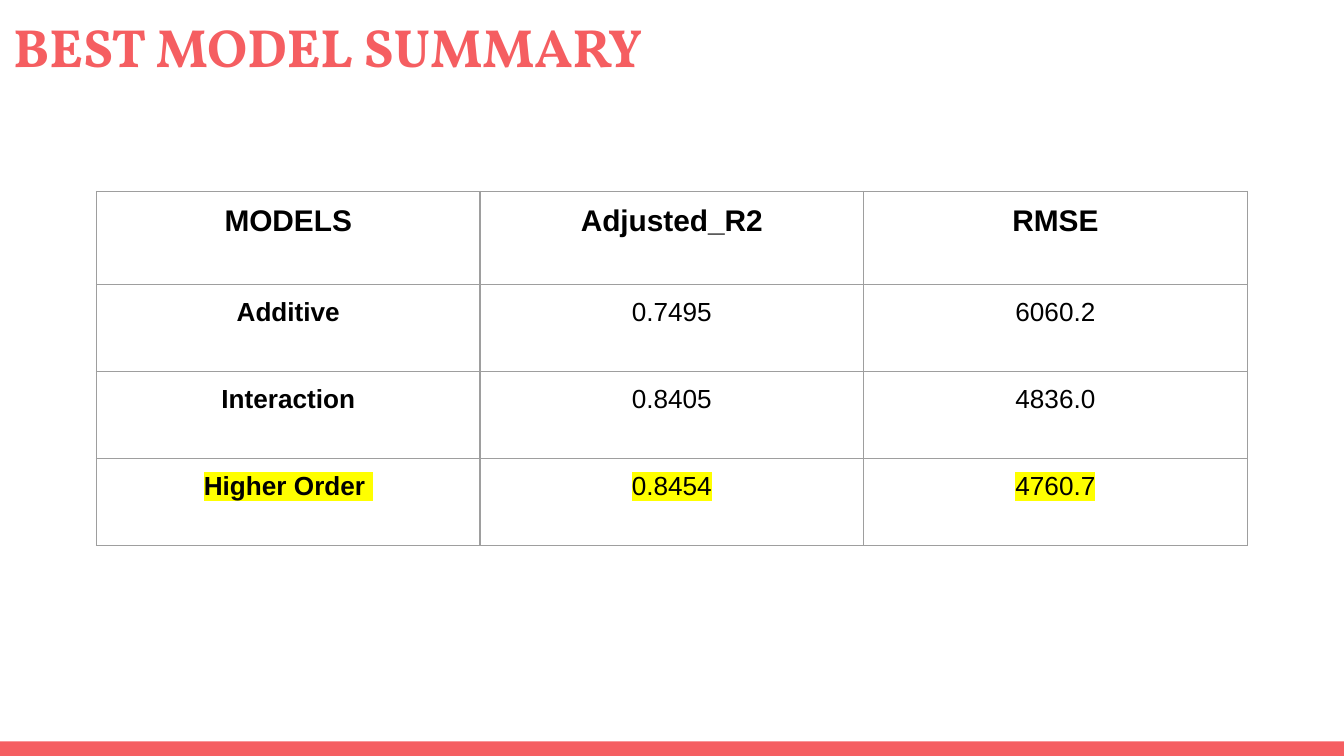
from dataclasses import dataclass

from lxml.etree import SubElement
from pptx import Presentation
from pptx.dml.color import RGBColor
from pptx.enum.shapes import MSO_SHAPE
from pptx.enum.text import MSO_ANCHOR, MSO_AUTO_SIZE, PP_ALIGN
from pptx.oxml.ns import qn
from pptx.table import _Cell
from pptx.util import Pt

CORAL = RGBColor(0xF5, 0x5E, 0x61)
BLACK = RGBColor(0, 0, 0)
GRAY = RGBColor(0x9E, 0x9E, 0x9E)
YELLOW = RGBColor(0xFF, 0xFF, 0)

SLIDE_WIDTH, SLIDE_HEIGHT = 720, 405
FOOTER_HEIGHT = 7.8
TABLE_LEFT, TABLE_TOP = 51.7, 102.6
COLUMN_WIDTH = 205.5
INSET = 7.2


@dataclass
class ModelRow:
    texts: tuple[str, str, str]
    height: float = 46.6
    size: float = 14
    header: bool = False
    highlighted: bool = False


ROWS = [
    ModelRow(("MODELS", "Adjusted_R2", "RMSE"), height=49.8, size=16, header=True),
    ModelRow(("Additive", "0.7495", "6060.2")),
    ModelRow(("Interaction", "0.8405", "4836.0")),
    ModelRow(("Higher Order ", "0.8454", "4760.7"), highlighted=True),
]


def add_solid_fill(parent, tag: str, color: RGBColor) -> None:
    SubElement(SubElement(parent, qn(tag)), qn("a:srgbClr"), val=str(color))


def set_borders(cell: _Cell) -> None:
    properties = cell._tc.get_or_add_tcPr()
    for side in ("a:lnL", "a:lnR", "a:lnT", "a:lnB"):
        border = SubElement(properties, qn(side), w=str(Pt(0.75)))
        add_solid_fill(border, "a:solidFill", GRAY)


def fill_cell(cell: _Cell, text: str, row: ModelRow, bold: bool) -> None:
    set_borders(cell)
    cell.fill.background()
    cell.margin_left = cell.margin_right = Pt(INSET)
    cell.margin_top = cell.margin_bottom = Pt(INSET)
    paragraph = cell.text_frame.paragraphs[0]
    paragraph.alignment = PP_ALIGN.CENTER
    run = paragraph.add_run()
    run.text = text
    if row.highlighted:
        add_solid_fill(run._r.get_or_add_rPr(), "a:highlight", YELLOW)
    font = paragraph.font
    font.name, font.size, font.bold = "Arial", Pt(row.size), bold
    font.color.rgb = BLACK


presentation = Presentation()
presentation.slide_width, presentation.slide_height = Pt(SLIDE_WIDTH), Pt(SLIDE_HEIGHT)
slide = presentation.slides.add_slide(presentation.slide_layouts[5])

# Footer band
footer = slide.shapes.add_shape(
    MSO_SHAPE.RECTANGLE, 0, Pt(SLIDE_HEIGHT - FOOTER_HEIGHT), Pt(SLIDE_WIDTH), Pt(FOOTER_HEIGHT)
)
footer.shadow.inherit = False
footer.fill.solid()
footer.fill.fore_color.rgb = CORAL
footer.line.fill.background()

# Title
title = slide.shapes.title
title.left, title.top, title.width, title.height = 0, 0, Pt(671), Pt(49)
title_frame = title.text_frame
title_frame.text = "BEST MODEL SUMMARY"
title_frame.word_wrap = True
title_frame.auto_size = MSO_AUTO_SIZE.NONE
title_frame.vertical_anchor = MSO_ANCHOR.TOP
title_frame.margin_left = title_frame.margin_right = Pt(INSET)
title_frame.margin_top = title_frame.margin_bottom = Pt(INSET)
heading = title_frame.paragraphs[0]
heading.alignment = PP_ALIGN.LEFT
heading.font.name, heading.font.size, heading.font.bold = "Vollkorn", Pt(28.8), True
heading.font.color.rgb = CORAL

# Model comparison table
column_count = len(ROWS[0].texts)
models = slide.shapes.add_table(
    len(ROWS), column_count, Pt(TABLE_LEFT), Pt(TABLE_TOP),
    Pt(COLUMN_WIDTH * column_count), Pt(sum(row.height for row in ROWS)),
).table
models.first_row = models.horz_banding = False
for column in models.columns:
    column.width = Pt(COLUMN_WIDTH)
for row_index, row in enumerate(ROWS):
    models.rows[row_index].height = Pt(row.height)
    for column_index, text in enumerate(row.texts):
        bold = row.header or column_index == 0
        fill_cell(models.cell(row_index, column_index), text, row, bold)

presentation.save("out.pptx")
